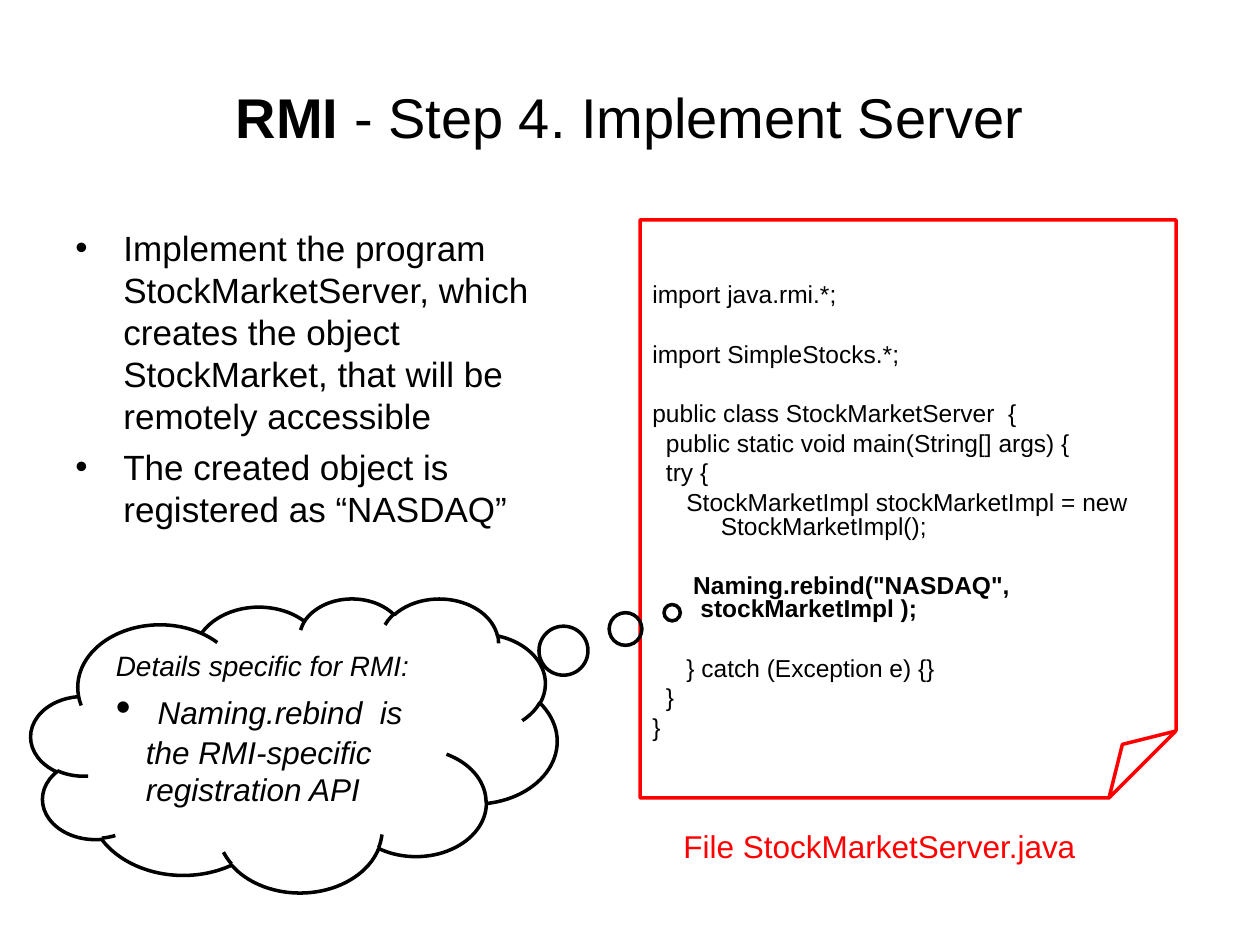
from lxml.etree import SubElement
from pptx import Presentation
from pptx.dml.color import RGBColor
from pptx.enum.shapes import MSO_SHAPE as SHAPE
from pptx.enum.text import MSO_ANCHOR as ANCHOR, PP_ALIGN as ALIGN
from pptx.oxml.ns import qn
from pptx.util import Emu, Pt

# Content
TITLE = [("RMI", {"size": 32, "bold": True}),
         (" - Step 4. Implement Server", {"size": 32, "bold": False})]
POINTS = [
    "Implement the program StockMarketServer, which creates the object "
    "StockMarket, that will be remotely accessible",
    "The created object is registered as “NASDAQ”",
]
# Each block is set apart from the one above it
CODE_BLOCKS = [
    ["import java.rmi.*;"],
    ["import SimpleStocks.*;"],
    ["public class StockMarketServer  {",
     "  public static void main(String[] args) {",
     "  try {",
     "     StockMarketImpl stockMarketImpl = new    StockMarketImpl();"],
    ['      Naming.rebind("NASDAQ", stockMarketImpl );'],
    ["     } catch (Exception e) {}",
     "  }",
     "}"],
]
KEY_CALL = "Naming.rebind"
FILE_LABEL = "File StockMarketServer.java"
DETAILS_HEAD = "Details specific for RMI:"
DETAILS = [(" ", {"size": 24, "italic": True}),
           ("Naming.rebind  is the RMI-specific registration API",
            {"size": 18, "italic": True})]

# Format: lengths in px, text sizes and spacing in points
COLORS = {"ink": "000000", "file": "FF0000"}
FONT = "Arial"
PX_PER_INCH = 126
SLIDE = (1260, 945)
PLACES = {
    "title": (63, 38, 1134, 157),
    "points": (63, 220, 557, 672),
    "code": (640, 279, 504, 564),
    "label": (670, 821, 419, 50),
    "page": (640, 220, 536, 578),
    "cloud": (31, 598, 526, 294),
}
PAGE_FOLD = {"adj": 12500}
CLOUD_TIP = {"adj1": 71900, "adj2": -45000}
HANG = 48
DETAILS_HANG = 30
LINE_GAP, BLOCK_GAP = 3.5, 20.5


def px(length):
    return Emu(round(length * 914400 / PX_PER_INCH))


def box(part):
    return [px(length) for length in PLACES[part]]


def write(paragraph, runs, color="ink"):
    for text, style in runs:
        run = paragraph.add_run()
        run.text = text
        values = {**style, "size": Pt(style["size"]), "name": FONT}
        for key, value in values.items():
            setattr(run.font, key, value)
        run.font.color.rgb = RGBColor.from_string(COLORS[color])


def hang(paragraph, width, bullet=None):
    props = paragraph._p.get_or_add_pPr()
    props.set("marL", str(px(width)))
    props.set("indent", str(-px(width)))
    if bullet:
        SubElement(props, qn("a:buFont")).set("typeface", FONT)
        SubElement(props, qn("a:buChar")).set("char", bullet)


def next_paragraph(frame, index):
    return frame.add_paragraph() if index else frame.paragraphs[0]


def add_text(slide, part, wrap=True):
    frame = slide.shapes.add_textbox(*box(part)).text_frame
    frame.word_wrap = wrap
    return frame


def add_outline(slide, kind, part, color, guides):
    shape = slide.shapes.add_shape(kind, *box(part))
    geometry = shape._element.spPr.find(qn("a:prstGeom"))
    for defaults in geometry.findall(qn("a:avLst")):
        geometry.remove(defaults)
    adjustments = SubElement(geometry, qn("a:avLst"))
    for name, value in guides.items():
        guide = SubElement(adjustments, qn("a:gd"))
        guide.set("name", name)
        guide.set("fmla", f"val {value}")
    shape.shadow.inherit = False
    shape.fill.background()
    shape.line.color.rgb = RGBColor.from_string(COLORS[color])
    shape.line.width = Pt(2)
    return shape


def main():
    prs = Presentation()
    prs.slide_width, prs.slide_height = map(px, SLIDE)
    slide = prs.slides.add_slide(prs.slide_layouts[5])

    # Title
    title = slide.shapes.title
    title.left, title.top, title.width, title.height = box("title")
    title.text_frame.vertical_anchor = ANCHOR.MIDDLE
    heading = title.text_frame.paragraphs[0]
    heading.alignment = ALIGN.CENTER
    write(heading, TITLE)

    # Points on the left
    points = add_text(slide, "points")
    for index, text in enumerate(POINTS):
        point = next_paragraph(points, index)
        hang(point, HANG, "•")
        if index:
            point.space_before = Pt(5)
        write(point, [(text, {"size": 20})])

    # Code listing
    code = add_text(slide, "code")
    lines = [(line, BLOCK_GAP if row == 0 else LINE_GAP)
             for block in CODE_BLOCKS for row, line in enumerate(block)]
    for index, (line, gap) in enumerate(lines):
        statement = next_paragraph(code, index)
        hang(statement, HANG)
        statement.line_spacing = 0.8
        if index:
            statement.space_before = Pt(gap)
        write(statement, [(line, {"size": 14, "bold": KEY_CALL in line})])

    # File name and page outline
    label = add_text(slide, "label", wrap=False).paragraphs[0]
    label.alignment = ALIGN.CENTER
    write(label, [(FILE_LABEL, {"size": 18})], "file")
    add_outline(slide, SHAPE.FOLDED_CORNER, "page", "file", PAGE_FOLD)

    # Cloud pointing at the key call
    cloud = add_outline(slide, SHAPE.CLOUD_CALLOUT, "cloud", "ink", CLOUD_TIP)
    details = cloud.text_frame
    details.word_wrap = True
    details.vertical_anchor = ANCHOR.TOP
    write(details.paragraphs[0],
          [(DETAILS_HEAD, {"size": 16, "italic": True})])
    hang(details.add_paragraph(), DETAILS_HANG, "•")
    write(details.paragraphs[1], DETAILS)
    for paragraph in details.paragraphs:
        paragraph.alignment = ALIGN.LEFT

    prs.save("out.pptx")


if __name__ == "__main__":
    main()
